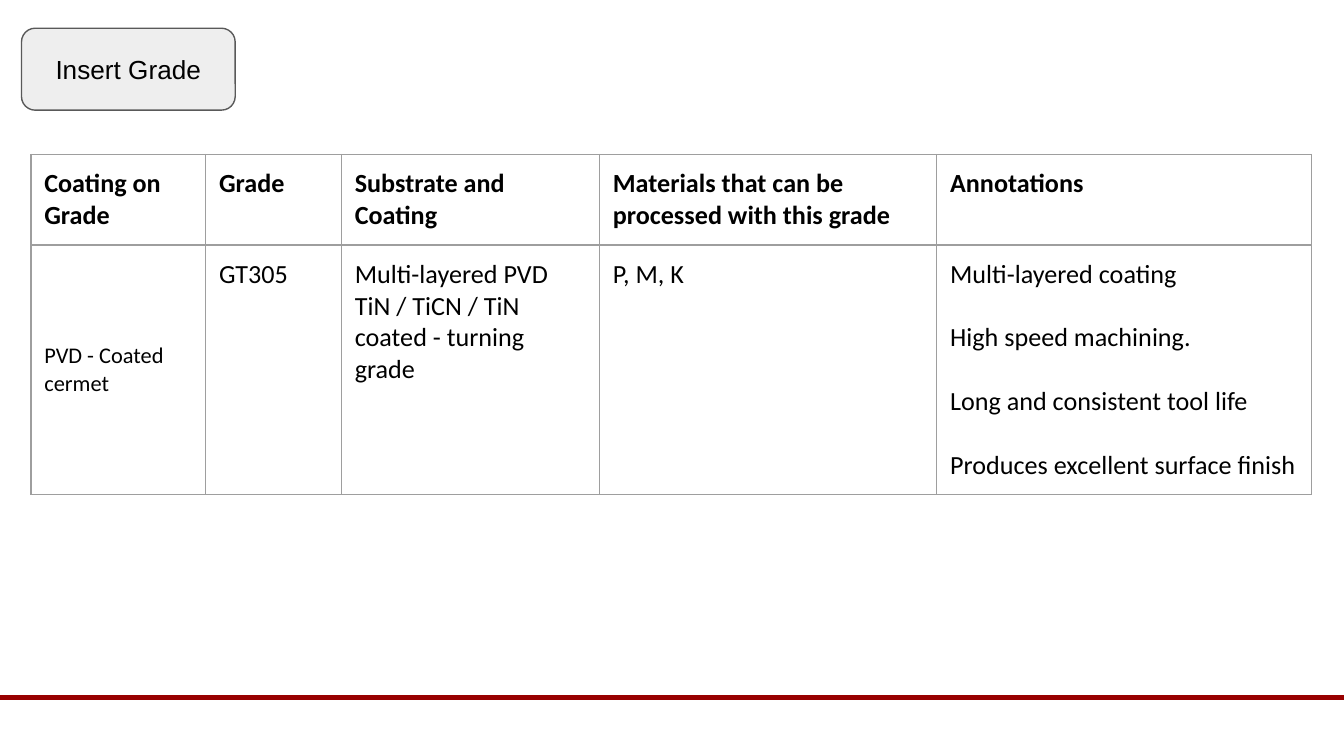
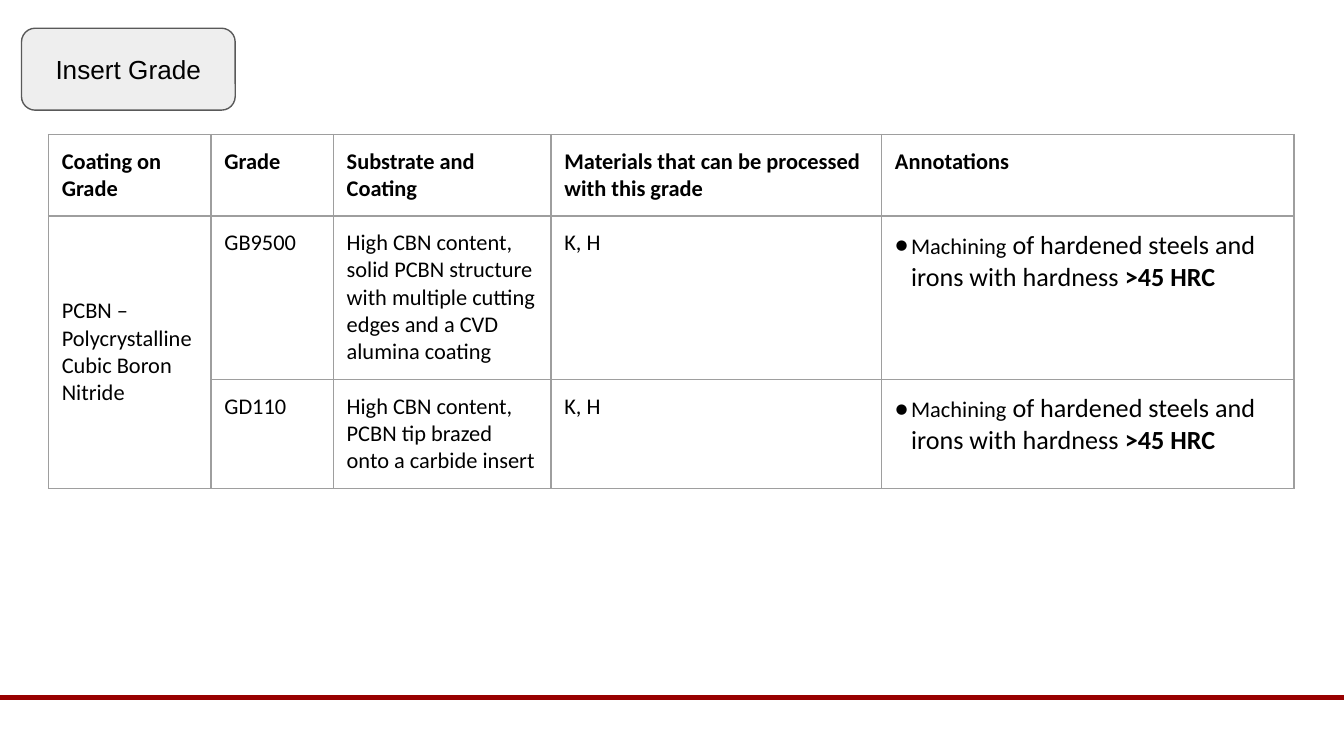
from lxml import etree
from pptx import Presentation
from pptx.dml.color import RGBColor
from pptx.enum import shapes, text
from pptx.oxml import ns
from pptx.util import Inches, Pt

BLACK = RGBColor(0x00, 0x00, 0x00)
BUTTON_FILL = RGBColor(0xEE, 0xEE, 0xEE)
BUTTON_LINE = RGBColor(0x59, 0x59, 0x59)
RULE_RED = RGBColor(0x98, 0x00, 0x00)
GRID_GREY = RGBColor(0x9E, 0x9E, 0x9E)

TITLE_FONT = "Arial"
TABLE_FONT = "Calibri"
PADDING = Inches(0.1)
HEADINGS = ["Coating on Grade", "Grade", "Substrate and Coating",
            "Materials that can be processed with this grade", "Annotations"]
HARD_MACHINING = [("Machining", 12, False),
                  (" of hardened steels and irons with hardness ", 14, False),
                  (">45 HRC", 14, True)]


def set_font(font, size, bold=False, name=TABLE_FONT):
    font.name, font.size, font.bold = name, Pt(size), bold
    font.color.rgb = BLACK


def add_frame(page):
    """Draw the title button and the red rule that every slide carries."""
    rule = page.shapes.add_connector(shapes.MSO_CONNECTOR.STRAIGHT, Inches(-0.01),
                                     Inches(5.19), Inches(10.02), Inches(5.19))
    rule.line.color.rgb = RULE_RED
    rule.line.width = Pt(2.25)
    etree.SubElement(rule.element.spPr, ns.qn("a:effectLst"))

    button = page.shapes.add_shape(shapes.MSO_SHAPE.ROUNDED_RECTANGLE, Inches(0.16),
                                   Inches(0.21), Inches(1.59), Inches(0.61))
    button.shadow.inherit = False
    button.fill.solid()
    button.fill.fore_color.rgb = BUTTON_FILL
    button.line.color.rgb = BUTTON_LINE
    button.line.width = Pt(0.75)
    frame = button.text_frame
    frame.word_wrap = True
    frame.vertical_anchor = text.MSO_ANCHOR.MIDDLE
    frame.margin_left = frame.margin_right = PADDING
    frame.margin_top = frame.margin_bottom = PADDING
    para = frame.paragraphs[0]
    para.text = "Insert Grade"
    para.alignment = text.PP_ALIGN.CENTER
    set_font(para.font, 14, name=TITLE_FONT)


def style_cell(cell):
    cell.margin_left = cell.margin_right = PADDING
    cell.margin_top = cell.margin_bottom = PADDING
    properties = cell._tc.get_or_add_tcPr()
    for side in ("a:lnL", "a:lnR", "a:lnT", "a:lnB"):
        border = etree.SubElement(properties, ns.qn(side), w=str(Pt(0.75)))
        fill = etree.SubElement(border, ns.qn("a:solidFill"))
        etree.SubElement(fill, ns.qn("a:srgbClr"), val=str(GRID_GREY))
    cell.fill.background()


def add_bullet(para):
    properties = para._p.get_or_add_pPr()
    properties.set("marL", str(Inches(0.12)))
    properties.set("indent", str(Inches(-0.16)))
    color = etree.SubElement(properties, ns.qn("a:buClr"))
    etree.SubElement(color, ns.qn("a:srgbClr"), val=str(BLACK))
    etree.SubElement(properties, ns.qn("a:buSzPts"), val="1200")
    etree.SubElement(properties, ns.qn("a:buFont"), typeface=TABLE_FONT)
    etree.SubElement(properties, ns.qn("a:buChar"), char="●")


def write_cell(cell, content, size, bold=False, gap=0):
    """Write lines of text, or one bullet made of (words, size, bold) spans."""
    frame = cell.text_frame
    if isinstance(content, list):
        para = frame.paragraphs[0]
        add_bullet(para)
        for words, span_size, span_bold in content:
            span = para.add_run()
            span.text = words
            set_font(span.font, span_size, span_bold)
        return
    for index, line in enumerate(content.split("\n")):
        para = frame.add_paragraph() if index else frame.paragraphs[0]
        para.text = line
        if index and gap:
            para.space_before = Pt(gap)
        set_font(para.font, size, bold)


def add_grade_table(page, left, top, widths, heights, size, coating, grades, gap=0):
    """Build a table whose first column holds one coating for all its grades."""
    table = page.shapes.add_table(len(heights), len(widths), Inches(left), Inches(top),
                                  Inches(sum(widths)), Inches(sum(heights))).table
    table.first_row = table.horz_banding = False
    for column, width in zip(table.columns, widths):
        column.width = Inches(width)
    for row, height in zip(table.rows, heights):
        row.height = Inches(height)
    for cell in table.iter_cells():
        style_cell(cell)

    for column, heading in enumerate(HEADINGS):
        write_cell(table.cell(0, column), heading, size, bold=True)
    coating_cell = table.cell(1, 0)
    if len(grades) > 1:
        coating_cell.merge(table.cell(len(grades), 0))
    coating_cell.vertical_anchor = text.MSO_ANCHOR.MIDDLE
    write_cell(coating_cell, coating, 12)
    for row, grade in enumerate(grades, start=1):
        for column, content in enumerate(grade, start=1):
            write_cell(table.cell(row, column), content, size, gap=gap)


def add_cermet_slide(page):
    add_frame(page)
    add_grade_table(
        page, 0.23, 1.15, [1.3, 1.01, 1.92, 2.51, 2.79], [0.67, 1.85], 14,
        "PVD - Coated cermet",
        [("GT305", "Multi-layered PVD TiN / TiCN / TiN coated - turning grade", "P, M, K",
          "Multi-layered coating\nHigh speed machining.\n"
          "Long and consistent tool life\nProduces excellent surface finish")],
        gap=17)


def add_pcbn_slide(page):
    add_frame(page)
    add_grade_table(
        page, 0.36, 1, [1.21, 0.91, 1.62, 2.46, 3.07], [0.6, 1.21, 0.81], 12,
        "PCBN – Polycrystalline\nCubic Boron Nitride",
        [("GB9500", "High CBN content, solid PCBN structure with multiple cutting edges "
          "and a CVD alumina coating", "K, H", HARD_MACHINING),
         ("GD110", "High CBN content, PCBN tip brazed onto a carbide insert", "K, H",
          HARD_MACHINING)])


def main():
    deck = Presentation()
    deck.slide_width = Inches(10)
    deck.slide_height = deck.slide_width * 9 // 16
    blank = deck.slide_layouts[6]
    for build in (add_cermet_slide, add_pcbn_slide):
        build(deck.slides.add_slide(blank))
    deck.save("out.pptx")


if __name__ == "__main__":
    main()
